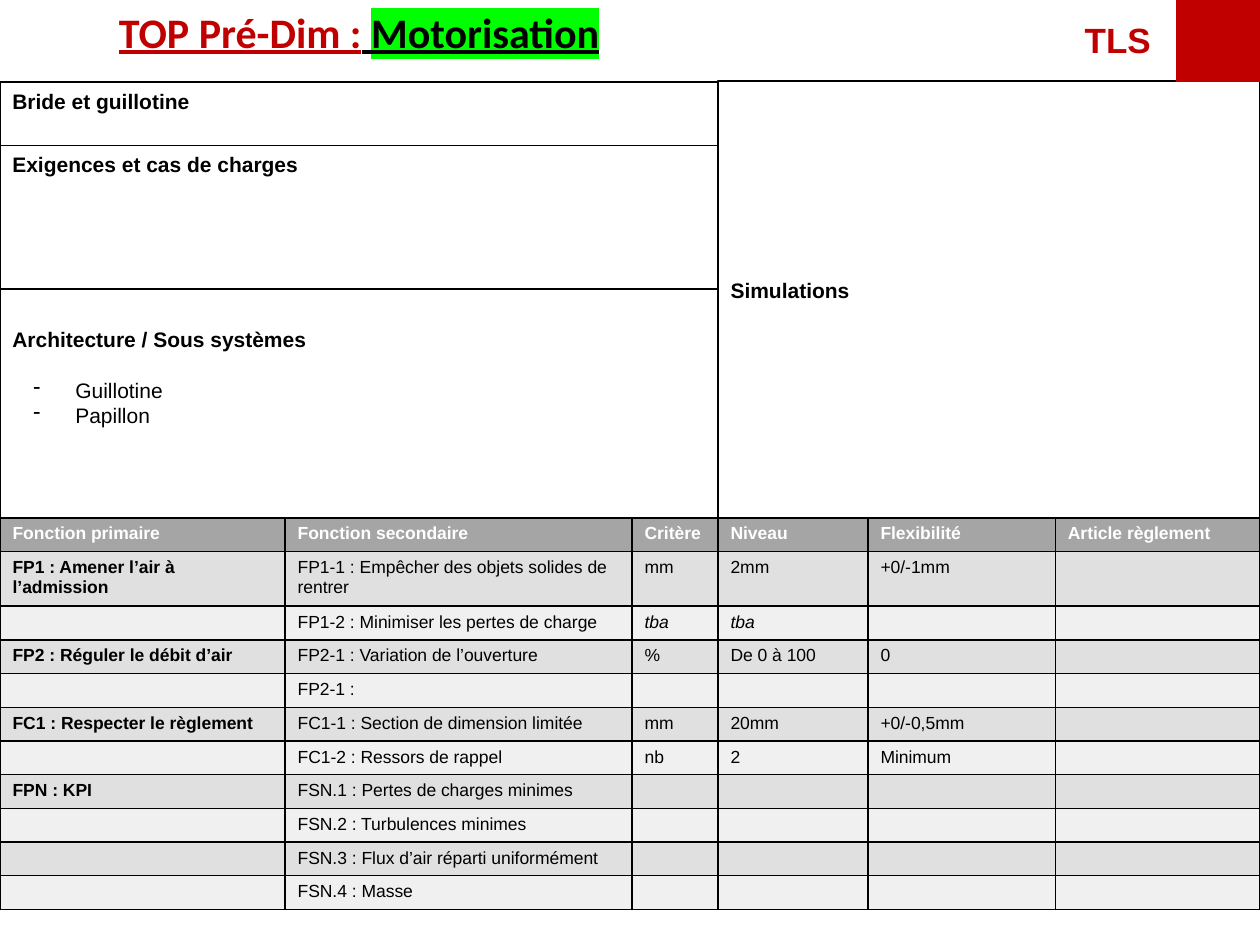
"""Build the preliminary sizing slide for the motorisation topic."""
from lxml import etree
from pptx import Presentation
from pptx.dml.color import RGBColor
from pptx.enum.shapes import MSO_SHAPE
from pptx.enum.text import MSO_ANCHOR, PP_ALIGN
from pptx.oxml.ns import qn
from pptx.util import Pt

RECTANGLE = MSO_SHAPE.RECTANGLE
TOP, MIDDLE = MSO_ANCHOR.TOP, MSO_ANCHOR.MIDDLE
LEFT, CENTER = PP_ALIGN.LEFT, PP_ALIGN.CENTER

COLORS = {
    "red": "C00000",
    "black": "000000",
    "white": "FFFFFF",
    "highlight": "00FF00",
    "header": "A5A5A5",
    "odd": "E0E0E0",
    "even": "F0F0F0",
}

PANEL_TOP, TABLE_TOP = 46.8, 295.9
LEFT_WIDTH, SLIDE_WIDTH, SLIDE_HEIGHT = 410.4, 720, 540

COLUMN_WIDTHS = [162.9, 198.3, 49.1, 85.7, 107.1, 116.9]
ROW_HEIGHT, TALL_ROW_HEIGHT = 18.4, 29.3
ROWS = [
    ["Fonction primaire", "Fonction secondaire", "Critère", "Niveau", "Flexibilité", "Article règlement"],
    ["FP1 : Amener l’air à l’admission", "FP1-1 : Empêcher des objets solides de rentrer", "mm", "2mm", "+0/-1mm", ""],
    ["", "FP1-2 : Minimiser les pertes de charge", "tba", "tba", "", ""],
    ["FP2 : Réguler le débit d’air", "FP2-1 : Variation de l’ouverture", "%", "De 0 à 100", "0", ""],
    ["", "FP2-1 :", "", "", "", ""],
    ["FC1 : Respecter le règlement", "FC1-1 : Section de dimension limitée", "mm", "20mm", "+0/-0,5mm", ""],
    ["", "FC1-2 : Ressors de rappel", "nb", "2", "Minimum", ""],
    ["FPN : KPI", "FSN.1 : Pertes de charges minimes", "", "", "", ""],
    ["", "FSN.2 : Turbulences minimes", "", "", "", ""],
    ["", "FSN.3 : Flux d’air réparti uniformément", "", "", "", ""],
    ["", "FSN.4 : Masse", "", "", "", ""],
]


def color(name):
    """Return the named colour."""
    return RGBColor.from_string(COLORS[name])


def style(para, size, name="black", bold=False, italic=False, face="Arial"):
    """Set the font of a whole paragraph."""
    font = para.font
    font.name, font.size, font.bold, font.italic = face, Pt(size), bold, italic
    font.color.rgb = color(name)


def add_text_box(page, left, top, width, height):
    """Add a wrapping text box and return its first paragraph."""
    box = page.shapes.add_textbox(Pt(left), Pt(top), Pt(width), Pt(height))
    box.text_frame.word_wrap = True
    return box.text_frame.paragraphs[0]


def add_title(page):
    """Add the underlined title with its highlighted topic."""
    para = add_text_box(page, 0, 0, LEFT_WIDTH, 36)
    para.alignment = CENTER
    style(para, 24, "red", bold=True, face="Calibri")
    para.font.underline = True
    for text, name in (("TOP Pré-Dim :", "red"), (" ", "black"), ("Motorisation", "black")):
        span = para.add_run()
        span.text = text
        span.font.color.rgb = color(name)
    highlight = etree.SubElement(span.font._element, qn("a:highlight"))
    etree.SubElement(highlight, qn("a:srgbClr"), val=COLORS["highlight"])


def add_team_tag(page):
    """Add the team name and the red corner block."""
    para = add_text_box(page, 612.7, 7.2, 59, 31.7)
    para.text = "TLS"
    style(para, 20, "red", bold=True)
    block = page.shapes.add_shape(RECTANGLE, Pt(672), Pt(0), Pt(48), Pt(PANEL_TOP))
    block.shadow.inherit = False
    block.fill.solid()
    block.fill.fore_color.rgb = color("red")
    block.line.fill.background()


def add_panel(page, left, top, width, height, heading, anchor=TOP, bottom_inset=3.6):
    """Add an outlined panel with a bold heading and return its text frame."""
    panel = page.shapes.add_shape(RECTANGLE, Pt(left), Pt(top), Pt(width), Pt(height))
    panel.shadow.inherit = False
    panel.fill.background()
    panel.line.color.rgb = color("black")
    panel.line.width = Pt(1)
    frame = panel.text_frame
    frame.word_wrap = True
    frame.vertical_anchor = anchor
    frame.margin_bottom = Pt(bottom_inset)
    para = frame.paragraphs[0]
    para.text = heading
    para.alignment = LEFT
    style(para, 12, bold=True)
    return frame


def add_dashes(frame, items):
    """Add a dashed list below the heading of a panel."""
    frame.paragraphs[0].space_after = Pt(14.5)
    for item in items:
        para = frame.add_paragraph()
        para.text = item
        para.alignment = LEFT
        properties = para._p.get_or_add_pPr()
        properties.set("marL", str(Pt(36)))
        properties.set("indent", str(Pt(-24)))
        bullet_color = etree.SubElement(properties, qn("a:buClr"))
        etree.SubElement(bullet_color, qn("a:srgbClr"), val=COLORS["black"])
        etree.SubElement(properties, qn("a:buChar"), char="-")
        style(para, 12)


def add_borders(cell):
    """Draw a thin black line on each side of a cell."""
    properties = cell._tc.get_or_add_tcPr()
    for side in ("lnL", "lnR", "lnT", "lnB"):
        line = etree.SubElement(properties, qn(f"a:{side}"), w=str(Pt(1)))
        fill = etree.SubElement(line, qn("a:solidFill"))
        etree.SubElement(fill, qn("a:srgbClr"), val=COLORS["black"])


def fill_cell(cell, text, row, column):
    """Write and style one table cell."""
    add_borders(cell)
    band = "header" if row == 0 else "odd" if row % 2 else "even"
    cell.fill.solid()
    cell.fill.fore_color.rgb = color(band)
    para = cell.text_frame.paragraphs[0]
    para.text = text
    style(para, 10, "black" if row else "white", bold=row == 0 or column == 0, italic=text == "tba")
    etree.SubElement(para._p, qn("a:endParaRPr"), sz="1000")


def add_function_table(page):
    """Add the table of functions and criteria."""
    heights = [TALL_ROW_HEIGHT if row == 1 else ROW_HEIGHT for row in range(len(ROWS))]
    table = page.shapes.add_table(
        len(ROWS), len(COLUMN_WIDTHS), Pt(0), Pt(TABLE_TOP), Pt(SLIDE_WIDTH), Pt(sum(heights))
    ).table
    for column, width in zip(table.columns, COLUMN_WIDTHS):
        column.width = Pt(width)
    for row, (texts, height) in enumerate(zip(ROWS, heights)):
        table.rows[row].height = Pt(height)
        for column, text in enumerate(texts):
            fill_cell(table.cell(row, column), text, row, column)


def main():
    """Build and save the deck."""
    deck = Presentation()
    deck.slide_width, deck.slide_height = Pt(SLIDE_WIDTH), Pt(SLIDE_HEIGHT)
    page = deck.slides.add_slide(deck.slide_layouts[6])
    add_title(page)
    add_panel(page, 0, PANEL_TOP, LEFT_WIDTH, 36.3, "Bride et guillotine")
    add_panel(page, 0, 83.2, LEFT_WIDTH, 82.2, "Exigences et cas de charges")
    add_panel(page, LEFT_WIDTH, 46.5, SLIDE_WIDTH - LEFT_WIDTH, 249.8, "Simulations", MIDDLE, 15.2)
    add_team_tag(page)
    architecture = add_panel(
        page, 0, 165.4, LEFT_WIDTH, 130.5, "Architecture / Sous systèmes", MIDDLE, 34
    )
    add_dashes(architecture, ["Guillotine", "Papillon"])
    add_function_table(page)
    deck.save("out.pptx")


if __name__ == "__main__":
    main()
